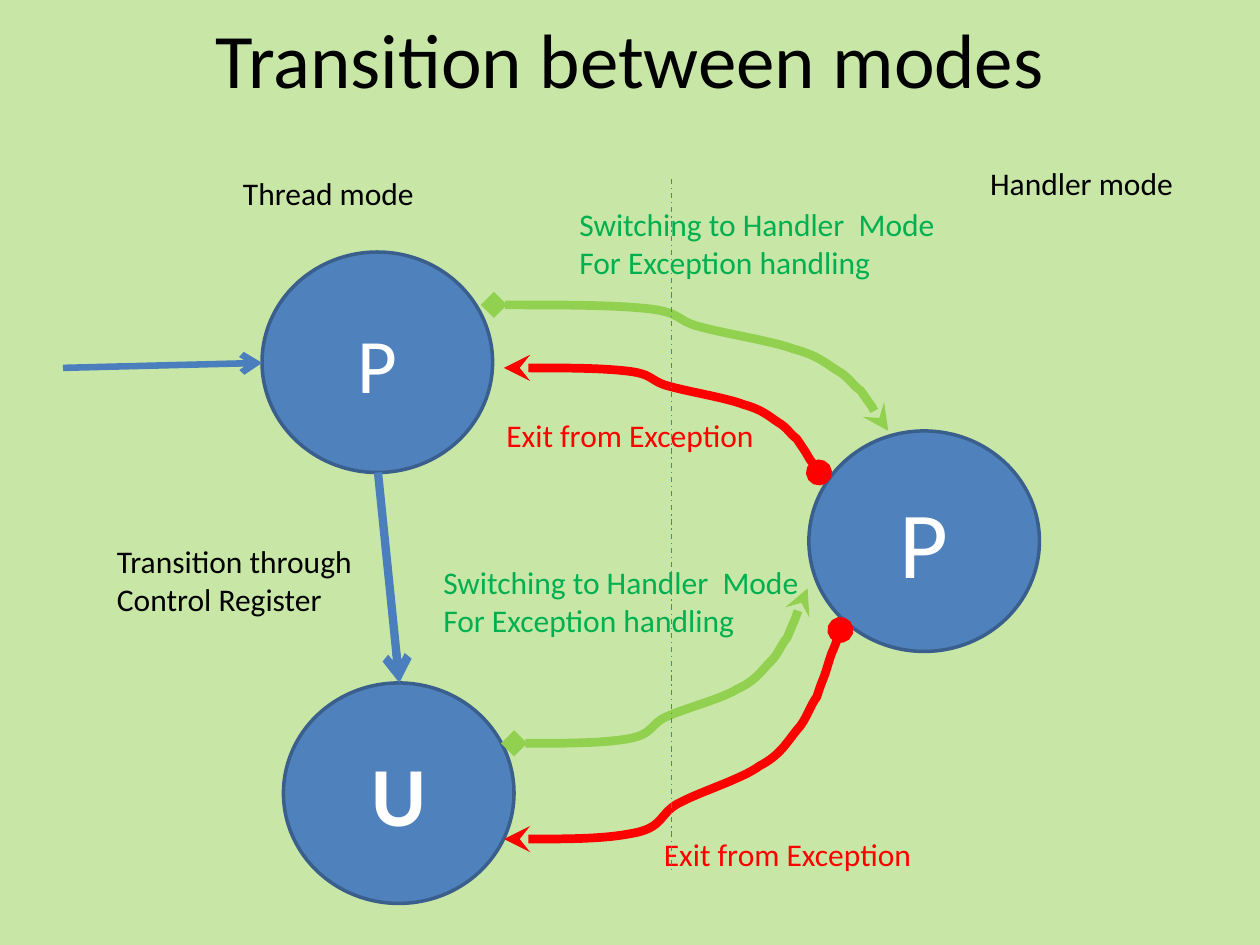
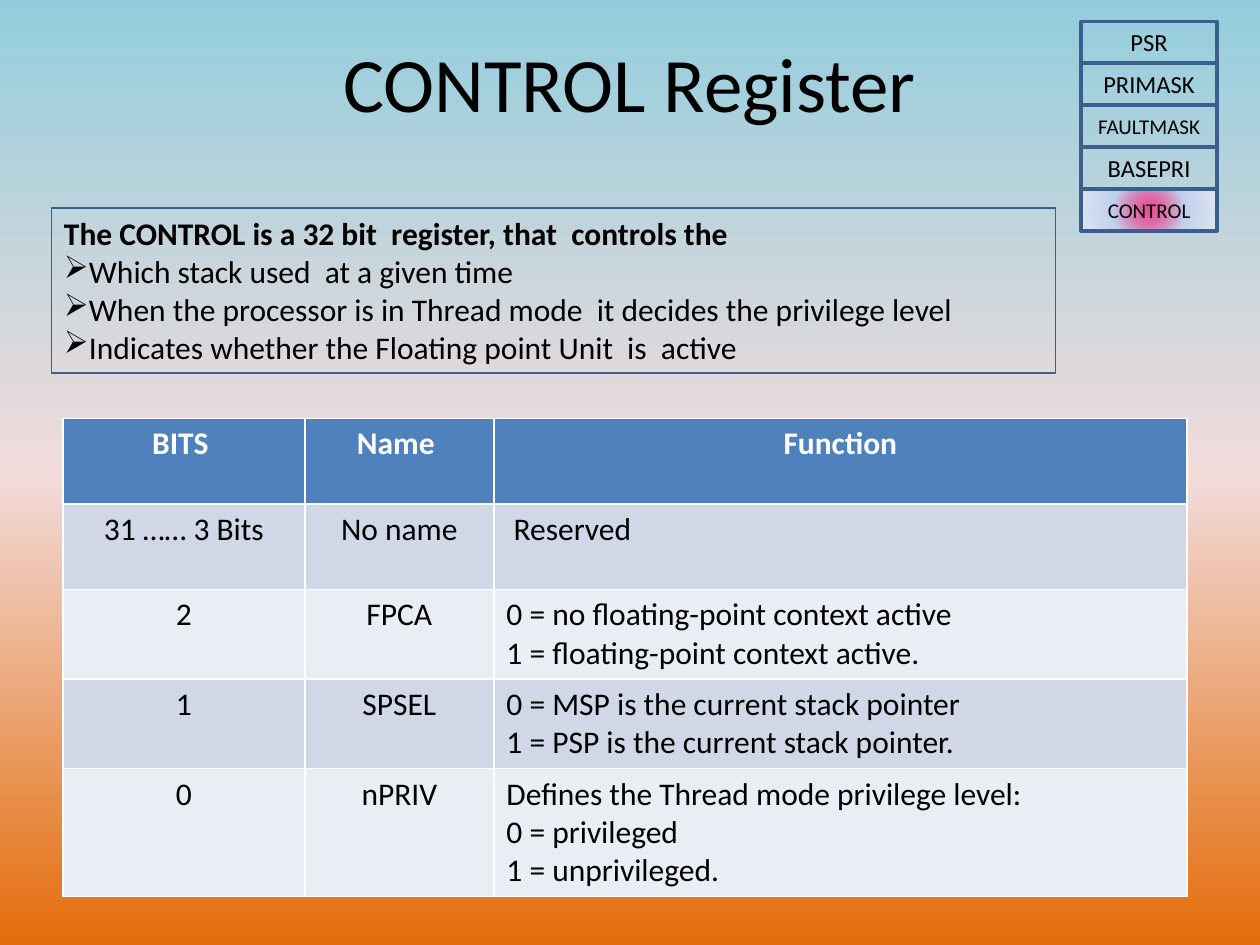
"""Build two slides on processor modes and the CONTROL register."""
from dataclasses import dataclass
from typing import Any, NamedTuple

from lxml.etree import SubElement as Sub
from pptx import Presentation
from pptx.dml.color import RGBColor
from pptx.enum.dml import MSO_LINE as Dash
from pptx.enum.shapes import MSO_CONNECTOR as Link, MSO_SHAPE as Kind
from pptx.enum.text import MSO_ANCHOR as Anchor, MSO_AUTO_SIZE as Auto, PP_ALIGN as Align
from pptx.oxml.ns import qn
from pptx.util import Inches, Pt

FONT = "Calibri"
BLACK, WHITE = "000000", "FFFFFF"
BLUE, EDGE, WIRE = "4F81BD", "3A5F8C", "4B7EBC"
LIME, GREEN, RED = "92D050", "00B050", "FF0000"
MINT = "C8E7A7"
BANDS = ("D0D8E8", "E9EDF4")
SKY = [(0, "93CDDD", 100), (50, "F2DCDB", 100), (100, "E46C0A", 100)]
GLOW = [(0, "FF0066", 62), (50, "C2D1ED", 100), (100, "E1E8F5", 100)]

WAVE = [
    (0, 0), (0.15, 0), (0.3, 0), (0.39, 0.03), (0.48, 0.06),
    (0.46, 0.13), (0.53, 0.18), (0.59, 0.23), (0.71, 0.29),
    (0.76, 0.35), (0.82, 0.4), (0.84, 0.46), (0.87, 0.52),
    (0.9, 0.57), (0.91, 0.64), (0.93, 0.68), (0.94, 0.73),
    (0.94, 0.73), (0.95, 0.77), (0.96, 0.81), (0.97, 0.88),
    (0.98, 0.91), (0.99, 0.95), (1, 1), (1, 1),
]


class Box(NamedTuple):
    x: float
    y: float
    w: float
    h: float


class Curve(NamedTuple):
    x: float
    y: float
    w: float
    rise: float
    hue: str
    head: str
    tail: str


@dataclass
class Ball:
    x: float
    y: float
    text: str
    size: int
    bold: bool = False


@dataclass
class Label:
    box: Box
    text: str
    hue: str = BLACK
    wrap: bool = False


@dataclass
class Wire:
    start: tuple[float, float]
    end: tuple[float, float]
    width: float
    tail: str = ""
    dash: Any = None


BALLS = [
    Ball(2.08, 2, "P", 44),
    Ball(2.25, 5.42, "U", 48, True),
    Ball(6.42, 3.42, "P", 54),
]
CURVES = [
    Curve(3.92, 2.42, 3.13, 1, LIME, "diamond", "stealth"),
    Curve(4, 2.92, 2.5, 0.83, RED, "stealth", "oval"),
    Curve(4, 6.66, 2.67, -1.66, RED, "stealth", "oval"),
    Curve(4.08, 5.9, 2.33, -1.23, LIME, "diamond", "stealth"),
]
SWITCH = "Switching to Handler  Mode\nFor Exception handling"
LEAVE = "Exit from Exception"
LABELS = [
    Label(Box(0.83, 4.25, 2.09, 0.71), "Transition through\nControl Register"),
    Label(Box(4.5, 1.58, 3.83, 0.71), SWITCH, GREEN, True),
    Label(Box(3.42, 4.42, 3.83, 0.71), SWITCH, GREEN, True),
    Label(Box(3.92, 3.25, 2.19, 0.4), LEAVE, RED),
    Label(Box(5.17, 6.58, 2.19, 0.4), LEAVE, RED),
    Label(Box(1.83, 1.33, 1.57, 0.4), "Thread mode"),
    Label(Box(7.76, 1.25, 1.67, 0.4), "Handler mode"),
]
WIRES = [
    Wire((0.5, 2.92), (2.08, 2.88), 3.75, "arrow"),
    Wire((3, 3.75), (3.17, 5.42), 4.75, "arrow"),
    Wire((5.33, 1.42), (5.33, 6.92), 0.75, dash=Dash.DASH_DOT),
]
STACK = [("PSR", 14), ("PRIMASK", 14), ("FAULTMASK", 12), ("BASEPRI", 14), ("CONTROL", 12)]
INTRO = (
    "The CONTROL is a 32 bit  register, that  controls the\n"
    "Which stack used  at a given time\n"
    "When the processor is in Thread mode  it decides the privilege level\n"
    "Indicates whether the Floating point Unit  is  active"
)
ROWS = [
    ("BITS ", "Name ", "Function"),
    ("31 …… 3 Bits", "No name", " Reserved"),
    ("2", "FPCA", "0 = no floating-point context active\n1 = floating-point context active."),
    ("1", "SPSEL", "0 = MSP is the current stack pointer\n1 = PSP is the current stack pointer."),
    ("0", "nPRIV", "Defines the Thread mode privilege level:\n0 = privileged\n1 = unprivileged."),
]


def tint(code: str) -> RGBColor:
    return RGBColor.from_string(code)


def place(box: Box) -> list:
    return [Inches(n) for n in box]


def write(frame: Any, text: str, *, size: int = 18, hue: str = BLACK,
          bold: bool = False, align: Any = Align.LEFT) -> None:
    frame.text = text
    for para in frame.paragraphs:
        para.alignment = align
        for run in para.runs:
            font = run.font
            font.name, font.size, font.bold = FONT, Pt(size), bold
            font.color.rgb = tint(hue)


def stroke(item: Any, hue: str, width: float, head: str = "", tail: str = "") -> None:
    item.line.color.rgb = tint(hue)
    item.line.width = Pt(width)
    edge = item.line._get_or_add_ln()
    for tag, kind in (("a:headEnd", head), ("a:tailEnd", tail)):
        if kind:
            Sub(edge, qn(tag), type=kind)


def blend(fill: Any, root: Any, stops: list, ring: bool = False) -> None:
    fill.gradient()
    grad = next(root.iter(qn("a:gradFill")))
    for child in list(grad):
        grad.remove(child)
    items = Sub(grad, qn("a:gsLst"))
    for pos, code, alpha in stops:
        stop = Sub(items, qn("a:gs"), pos=str(pos * 1000))
        color = Sub(stop, qn("a:srgbClr"), val=code)
        if alpha < 100:
            Sub(color, qn("a:alpha"), val=str(alpha * 1000))
    if ring:
        way = Sub(grad, qn("a:path"), {"path": "circle"})
        Sub(way, qn("a:fillToRect"), {side: "50000" for side in "ltrb"})
    else:
        Sub(grad, qn("a:lin"), ang="5400000", scaled="0")


def head(deck: Any, text: str, box: Box, anchor: Any) -> Any:
    slide = deck.slides.add_slide(deck.slide_layouts[5])
    title = slide.shapes.title
    title.left, title.top, title.width, title.height = place(box)
    write(title.text_frame, text, size=44, align=Align.CENTER)
    title.text_frame.vertical_anchor = anchor
    return slide


def block(slide: Any, kind: Any, box: Box, width: float = 2, fill: str = "") -> Any:
    shape = slide.shapes.add_shape(kind, *place(box))
    shape.shadow.inherit = False
    if fill:
        shape.fill.solid()
        shape.fill.fore_color.rgb = tint(fill)
    else:
        shape.fill.background()
    stroke(shape, EDGE, width)
    return shape


def bend(slide: Any, curve: Curve) -> None:
    spots = [(Inches(curve.x + curve.w * u), Inches(curve.y + curve.rise * v))
             for u, v in WAVE]
    pen = slide.shapes.build_freeform(*spots[0])
    pen.add_line_segments(spots[1:], close=False)
    shape = pen.convert_to_shape()
    shape.shadow.inherit = False
    shape.fill.background()
    stroke(shape, curve.hue, 5, curve.head, curve.tail)
    legs = list(shape._element.iter(qn("a:lnTo")))
    route = legs[0].getparent()
    for i in range(0, len(legs), 3):
        arc = Sub(route, qn("a:cubicBezTo"))
        for leg in legs[i:i + 3]:
            arc.append(leg[0])
            route.remove(leg)


def join(slide: Any, wire: Wire) -> None:
    ends = [Inches(n) for n in (*wire.start, *wire.end)]
    line = slide.shapes.add_connector(Link.STRAIGHT, *ends)
    if wire.dash:
        line.line.dash_style = wire.dash
    stroke(line, WIRE, wire.width, tail=wire.tail)
    Sub(line._element.spPr, qn("a:effectLst"))


def note(slide: Any, label: Label) -> None:
    frame = slide.shapes.add_textbox(*place(label.box)).text_frame
    frame.word_wrap = label.wrap
    frame.auto_size = Auto.SHAPE_TO_FIT_TEXT
    write(frame, label.text, hue=label.hue)


def modes(deck: Any) -> None:
    slide = head(deck, "Transition between modes", Box(0.5, 0, 9, 0.92), Anchor.MIDDLE)
    slide.background.fill.solid()
    slide.background.fill.fore_color.rgb = tint(MINT)
    for ball in BALLS:
        shape = block(slide, Kind.OVAL, Box(ball.x, ball.y, 1.83, 1.75), fill=BLUE)
        write(shape.text_frame, ball.text, size=ball.size, hue=WHITE,
              bold=ball.bold, align=Align.CENTER)
    for curve in CURVES:
        bend(slide, curve)
    for label in LABELS:
        note(slide, label)
    for wire in WIRES:
        join(slide, wire)


def table(slide: Any) -> None:
    box = Box(0.5, 3.32, 8.92, 3.4)
    grid = slide.shapes.add_table(len(ROWS), 3, *place(box)).table
    for col, width in zip(grid.columns, (1.92, 1.5, 5.5)):
        col.width = Inches(width)
    for r, row in enumerate(ROWS):
        top = r == 0
        for c, text in enumerate(row):
            cell = grid.cell(r, c)
            cell.fill.solid()
            cell.fill.fore_color.rgb = tint(BLUE if top else BANDS[(r - 1) % 2])
            write(cell.text_frame, text, hue=WHITE if top else BLACK, bold=top,
                  align=Align.CENTER if top or c < 2 else Align.LEFT)


def control(deck: Any) -> None:
    slide = head(deck, "CONTROL Register", Box(0.5, 0.23, 9, 1.25), Anchor.TOP)
    blend(slide.background.fill, slide._element, SKY)
    for i, (text, size) in enumerate(STACK):
        shape = block(slide, Kind.RECTANGLE, Box(8.58, 0.17 + i / 3, 1.08, 0.33))
        write(shape.text_frame, text, size=size, align=Align.CENTER)
    blend(shape.fill, shape._element, GLOW, ring=True)
    intro = block(slide, Kind.RECTANGLE, Box(0.41, 1.65, 7.97, 1.31), 0.75).text_frame
    intro.vertical_anchor = Anchor.TOP
    write(intro, INTRO)
    first, *rest = intro.paragraphs
    first.runs[0].font.bold = True
    for para in rest:
        Sub(para._p.get_or_add_pPr(), qn("a:buChar"), char="➢")
    table(slide)


def main() -> None:
    deck = Presentation()
    deck.slide_width, deck.slide_height = Inches(10), Inches(7.5)
    modes(deck)
    control(deck)
    deck.save("out.pptx")


if __name__ == "__main__":
    main()
